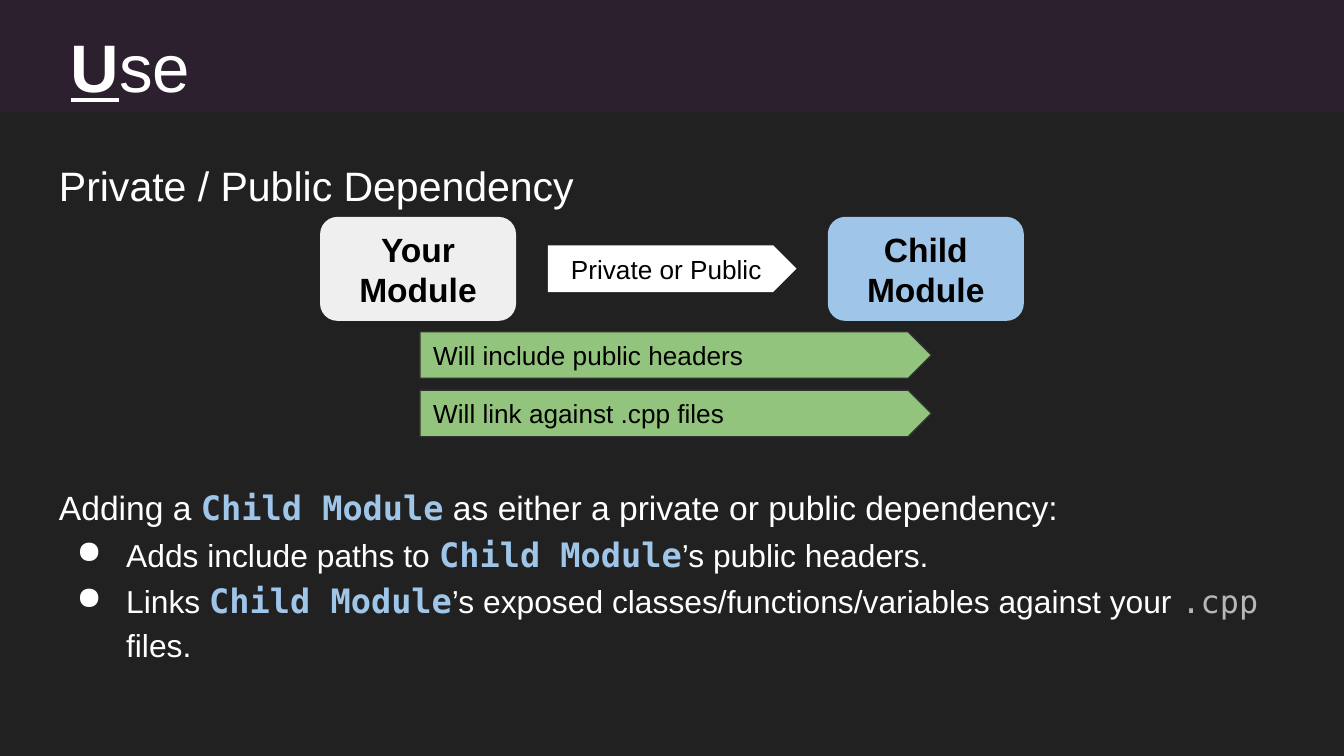
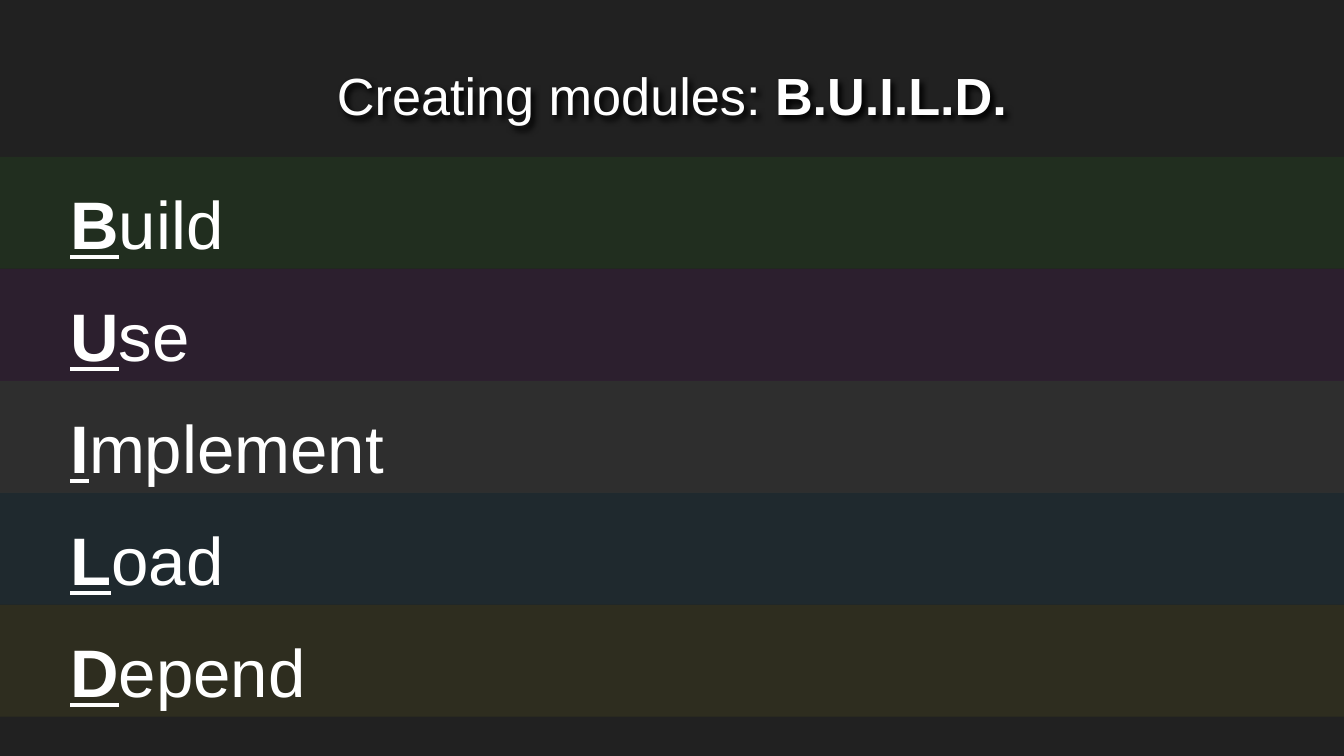
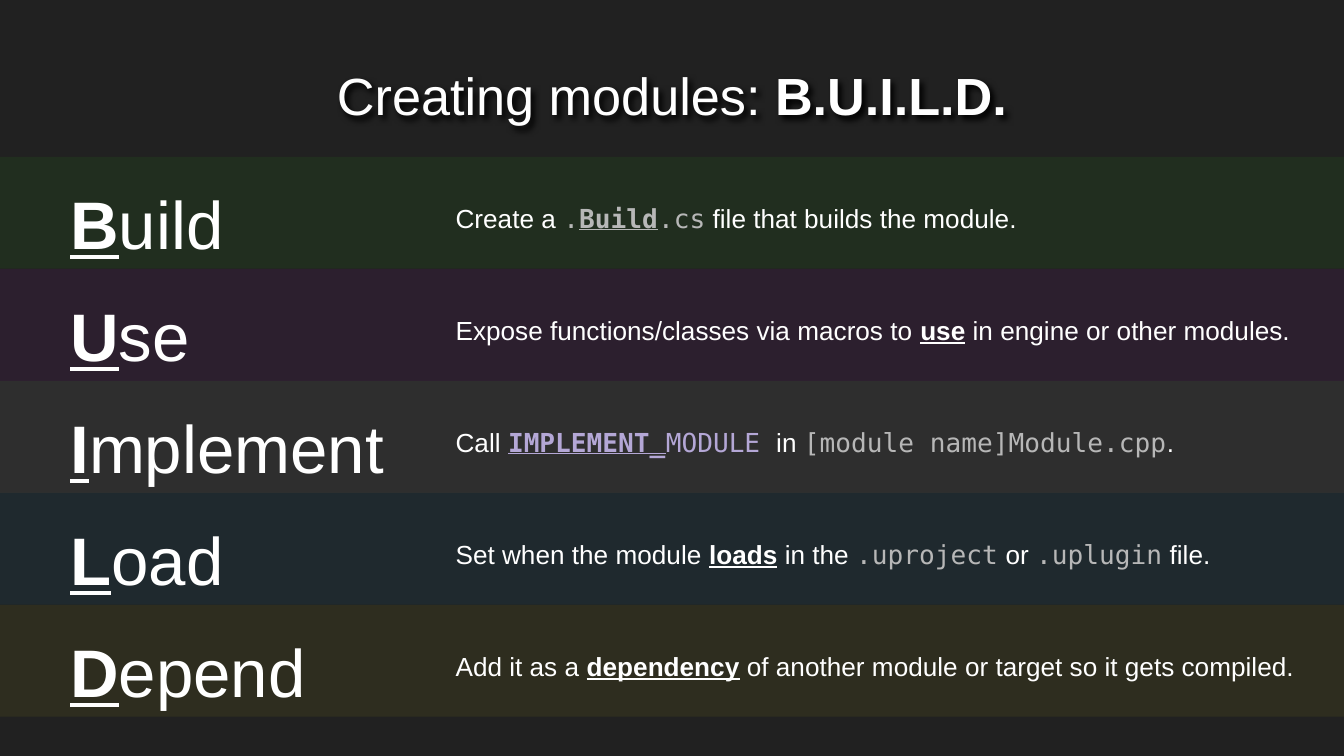
from dataclasses import dataclass
from typing import NamedTuple

from lxml.etree import SubElement
from pptx import Presentation
from pptx.dml.color import RGBColor
from pptx.enum.shapes import MSO_SHAPE
from pptx.enum.text import MSO_ANCHOR, MSO_AUTO_SIZE, PP_ALIGN
from pptx.oxml.ns import qn
from pptx.shapes.autoshape import Shape
from pptx.slide import Slide
from pptx.text.text import TextFrame, _Paragraph
from pptx.util import Pt

BACKGROUND = RGBColor(0x21, 0x21, 0x21)
WHITE = RGBColor(0xFF, 0xFF, 0xFF)
BLACK = RGBColor(0x00, 0x00, 0x00)
GREY = RGBColor(0xB7, 0xB7, 0xB7)
PALE_GREY = RGBColor(0xEF, 0xEF, 0xEF)
SKY = RGBColor(0x9F, 0xC5, 0xE8)
LAVENDER = RGBColor(0xB4, 0xA7, 0xD6)
GREEN = RGBColor(0x93, 0xC4, 0x7D)
ARROW_EDGE = RGBColor(0x30, 0x30, 0x30)

SANS = "Arial"
MONO = "DejaVu Sans Mono"

SLIDE_WIDTH, SLIDE_HEIGHT = 720, 405
BAND_HEIGHT = 60
BANDS_TOP = 84
BAND_OPACITY = 6
INSET = 7.2
LINE_SPACING = 1.15
BODY_LEFT, BODY_WIDTH = 24.5, 671


class Run(NamedTuple):
    text: str
    font: str = SANS
    color: RGBColor = WHITE
    bold: bool = False
    underline: bool = False
    size: float | None = None  # None takes the size of the paragraph


class Box(NamedTuple):
    """Left, top, width and height in points."""
    left: float
    top: float
    width: float
    height: float


@dataclass(frozen=True)
class Step:
    """One letter of B.U.I.L.D. with its band tint and explanation."""
    name: str
    tint: RGBColor
    explanation: list[Run]


@dataclass(frozen=True)
class Block:
    """A labelled preset shape of the dependency diagram."""
    label: str
    preset: MSO_SHAPE
    box: Box
    fill: RGBColor
    size: float
    bold: bool = False
    align: PP_ALIGN = PP_ALIGN.CENTER
    edge: RGBColor | None = None


def code(text: str, color: RGBColor = GREY, key: bool = False) -> Run:
    return Run(text, MONO, color, bold=key, underline=key)


def key(text: str) -> Run:
    return Run(text, bold=True, underline=True)


CHILD_MODULE = Run("Child Module", MONO, SKY, bold=True, size=18)

STEPS = [
    Step("Build", RGBColor(0x30, 0xFF, 0x00), [
        Run("Create a "), code("."), code("Build", key=True), code(".cs"),
        Run(" file that builds the module.")]),
    Step("Use", RGBColor(0xEC, 0x00, 0xFF), [
        Run("Expose functions/classes via macros to "), key("use"),
        Run(" in engine or other modules.")]),
    Step("Implement", WHITE, [
        Run("Call "), code("IMPLEMENT_", LAVENDER, key=True),
        code("MODULE ", LAVENDER), Run("in "),
        code("[module name]Module.cpp"), Run(".")]),
    Step("Load", RGBColor(0x00, 0xAE, 0xFF), [
        Run("Set when the module "), key("loads"), Run(" in the "),
        code(".uproject"), Run(" or "), code(".uplugin"), Run(" file.")]),
    Step("Depend", RGBColor(0xFF, 0xF8, 0x00), [
        Run("Add it as a "), key("dependency"),
        Run(" of another module or target so it gets compiled.")]),
]
USE = STEPS[1]

DIAGRAM = [
    Block(label, MSO_SHAPE.PENTAGON, Box(225, top, 274, 25), GREEN, 14,
          align=PP_ALIGN.LEFT, edge=ARROW_EDGE)
    for label, top in [("Will include public headers", 177.75),
                       ("Will link against .cpp files", 209)]
] + [
    Block(label, MSO_SHAPE.ROUNDED_RECTANGLE, Box(left, 116.2, 105, 55.7),
          fill, 18, bold=True)
    for label, left, fill in [("Your Module", 171.5, PALE_GREY),
                              ("Child Module", 443.5, SKY)]
] + [
    Block("Private or Public", MSO_SHAPE.PENTAGON, Box(293.5, 131.5, 133.2, 25),
          WHITE, 14),
]


def place(shape: Shape, box: Box) -> None:
    shape.left, shape.top, shape.width, shape.height = map(Pt, box)


def prepare_frame(frame: TextFrame, anchor: MSO_ANCHOR = MSO_ANCHOR.TOP) -> None:
    frame.word_wrap = True
    frame.auto_size = MSO_AUTO_SIZE.NONE
    frame.vertical_anchor = anchor
    frame.margin_left = frame.margin_right = Pt(INSET)
    frame.margin_top = frame.margin_bottom = Pt(INSET)


def write_runs(paragraph: _Paragraph, runs: list[Run], size: float,
               align: PP_ALIGN = PP_ALIGN.LEFT,
               spacing: float = LINE_SPACING) -> None:
    paragraph.alignment = align
    paragraph.line_spacing = spacing
    for part in runs:
        run = paragraph.add_run()
        run.text = part.text
        run.font.name = part.font
        run.font.size = Pt(part.size or size)
        run.font.color.rgb = part.color
        run.font.bold = part.bold
        run.font.underline = part.underline


def add_text(slide: Slide, box: Box, runs: list[Run], size: float) -> TextFrame:
    frame = slide.shapes.add_textbox(*map(Pt, box)).text_frame
    prepare_frame(frame)
    write_runs(frame.paragraphs[0], runs, size)
    return frame


def add_bullet(frame: TextFrame, runs: list[Run], size: float) -> _Paragraph:
    paragraph = frame.add_paragraph()
    write_runs(paragraph, runs, size)
    properties = paragraph._p.get_or_add_pPr()
    properties.set("marL", str(Pt(36)))
    properties.set("indent", str(Pt(-26.5)))
    color = SubElement(properties, qn("a:buClr"))
    SubElement(color, qn("a:srgbClr"), val=str(WHITE))
    SubElement(properties, qn("a:buChar"), char="●")
    return paragraph


def add_filled(slide: Slide, preset: MSO_SHAPE, box: Box, fill: RGBColor,
               edge: RGBColor | None = None) -> Shape:
    shape = slide.shapes.add_shape(preset, *map(Pt, box))
    shape.shadow.inherit = False
    shape.fill.solid()
    shape.fill.fore_color.rgb = fill
    if edge is None:
        shape.line.fill.background()
    else:
        shape.line.color.rgb = edge
        shape.line.width = Pt(0.75)
    return shape


def add_band(slide: Slide, step: Step, top: float) -> None:
    """Draw a translucent full-width band behind everything else."""
    band = add_filled(slide, MSO_SHAPE.RECTANGLE,
                      Box(0, top, SLIDE_WIDTH, BAND_HEIGHT), step.tint)
    tint = band.element.spPr.find(f".//{qn('a:srgbClr')}")
    SubElement(tint, qn("a:alpha"), val=str(BAND_OPACITY * 1000))
    slide.shapes.element.insert(2, band.element)


def step_runs(step: Step) -> list[Run]:
    return [key(step.name[0]), Run(step.name[1:])]


def step_box(top: float) -> Box:
    return Box(30.6, top, 215, 54)


def add_block(slide: Slide, block: Block) -> None:
    shape = add_filled(slide, block.preset, block.box, block.fill, block.edge)
    prepare_frame(shape.text_frame, MSO_ANCHOR.MIDDLE)
    write_runs(shape.text_frame.paragraphs[0],
               [Run(block.label, color=BLACK, bold=block.bold)],
               block.size, block.align, spacing=1.0)


def set_title(slide: Slide, box: Box, runs: list[Run], size: float,
              align: PP_ALIGN, spacing: float) -> Shape:
    title = slide.shapes.title
    place(title, box)
    prepare_frame(title.text_frame)
    write_runs(title.text_frame.paragraphs[0], runs, size, align, spacing)
    return title


def add_text_shadow(shape: Shape) -> None:
    effects = SubElement(shape.element.spPr, qn("a:effectLst"))
    shadow = SubElement(effects, qn("a:outerShdw"), blurRad=str(Pt(3)),
                        dist=str(Pt(2.25)), dir="2700000", algn="bl",
                        rotWithShape="0")
    SubElement(shadow, qn("a:srgbClr"), val=str(BLACK))


def build_use_slide(slide: Slide) -> None:
    set_title(slide, step_box(0), step_runs(USE), 36, PP_ALIGN.LEFT, LINE_SPACING)
    add_band(slide, USE, 0)
    add_text(slide, Box(BODY_LEFT, 75, BODY_WIDTH, 42.5),
             [Run("Private / Public Dependency")], 22)
    for block in DIAGRAM:
        add_block(slide, block)

    effects = add_text(
        slide, Box(BODY_LEFT, 250.5, BODY_WIDTH, 110),
        [Run("Adding a "), CHILD_MODULE,
         Run(" as either a private or public dependency:")], 18)
    add_bullet(effects, [Run("Adds include paths to "), CHILD_MODULE,
                         Run("’s public headers.")], 17)
    linking = add_bullet(effects, [
        Run("Links "), CHILD_MODULE,
        Run("’s exposed classes/functions/variables against your "),
        code(".cpp"), Run(" files.")], 17)
    linking.space_after = Pt(10)


def build_overview_slide(slide: Slide, explained: bool) -> None:
    title = set_title(slide, Box(BODY_LEFT, 26.6, BODY_WIDTH, 45),
                      [Run("Creating modules: "), Run("B.U.I.L.D.", bold=True)],
                      28, PP_ALIGN.CENTER, 1.0)
    add_text_shadow(title)
    for index, step in enumerate(STEPS):
        top = BANDS_TOP + index * BAND_HEIGHT
        add_band(slide, step, top)
        add_text(slide, step_box(top), step_runs(step), 36)
        if explained:
            add_text(slide, Box(237, top + 14.6, 471, 35), step.explanation, 14)


def main() -> None:
    deck = Presentation()
    deck.slide_width, deck.slide_height = Pt(SLIDE_WIDTH), Pt(SLIDE_HEIGHT)
    backdrop = deck.slide_master.background.fill
    backdrop.solid()
    backdrop.fore_color.rgb = BACKGROUND

    title_only = deck.slide_layouts.get_by_name("Title Only")
    build_use_slide(deck.slides.add_slide(title_only))
    for explained in (False, True):
        build_overview_slide(deck.slides.add_slide(title_only), explained)
    deck.save("out.pptx")


if __name__ == "__main__":
    main()
